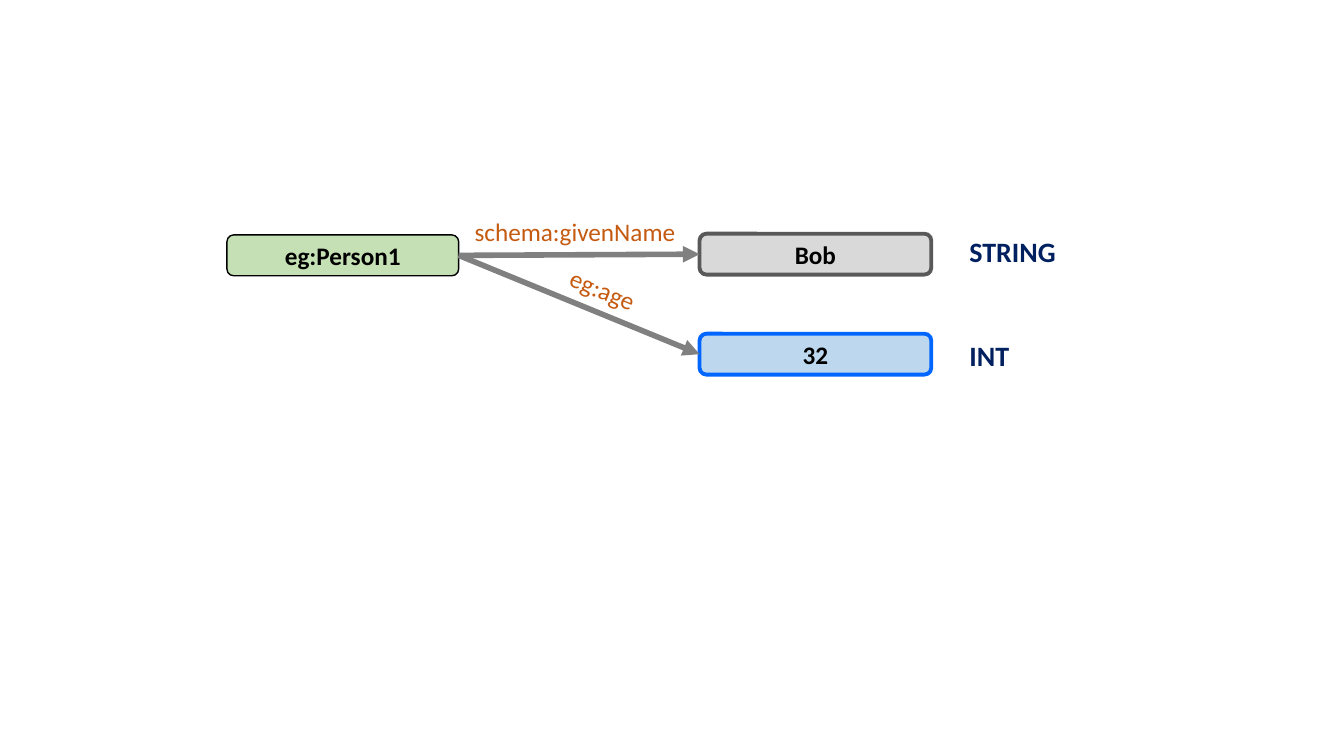
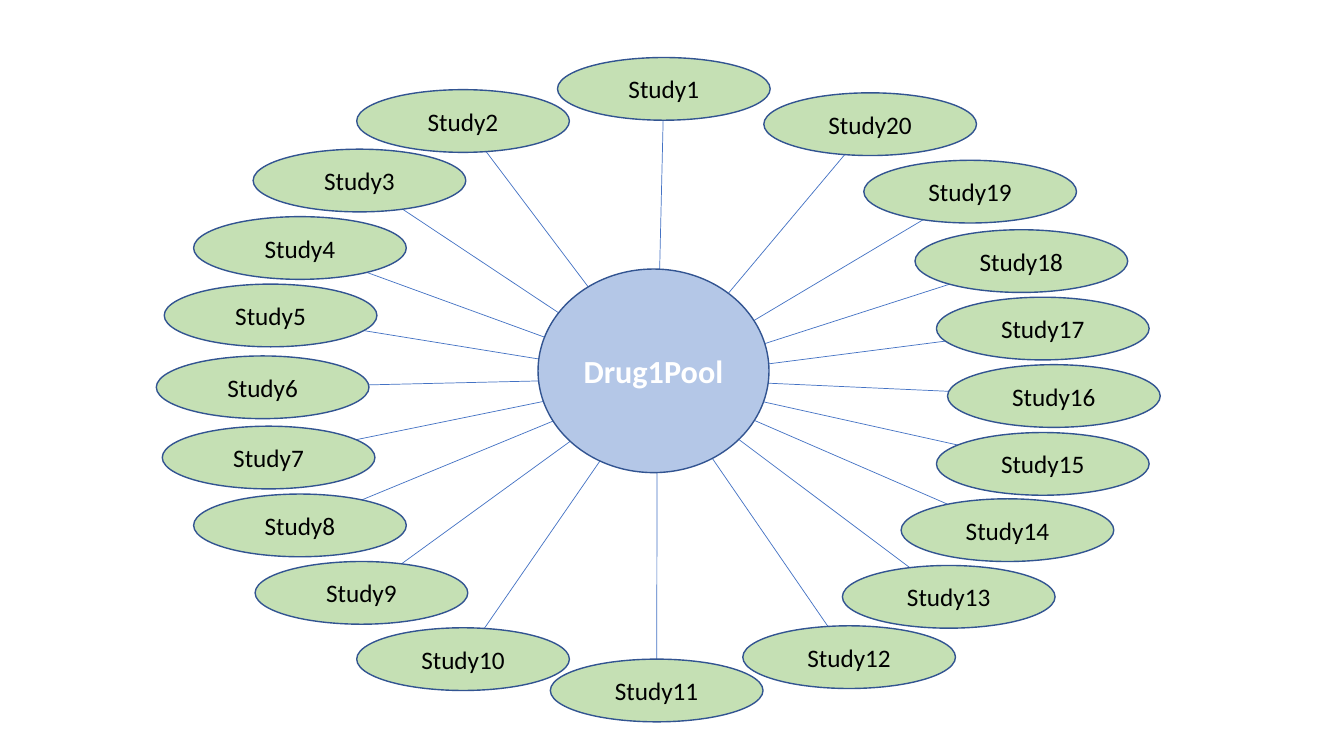
import pptx
import pptx.util
import pptx.dml.color
import pptx.enum.shapes
import pptx.enum.text
import pptx.oxml
import pptx.oxml.ns

Cm = pptx.util.Cm
Pt = pptx.util.Pt
Shapes = pptx.enum.shapes.MSO_SHAPE
Anchor = pptx.enum.text.MSO_ANCHOR
Align = pptx.enum.text.PP_ALIGN

# Shared colours
BLACK, WHITE = "000000", "FFFFFF"
GREEN, GREY, SKY, LAVENDER = "C5E0B4", "D9D9D9", "BDD7EE", "B4C7E7"
DARK_GREY, BRIGHT_BLUE, OUTLINE_BLUE = "595959", "0066FF", "325491"
ARROW_GREY, SPOKE_BLUE = "808080", "4472C4"
RUST, NAVY = "C55A11", "002060"


def colour(value):
    return pptx.dml.color.RGBColor.from_string(value)


class Diagram:
    font = "Calibri"

    def __init__(self):
        self.deck = pptx.Presentation()
        self.deck.slide_width = Cm(33.87)
        self.deck.slide_height = Cm(19.05)
        self.page = None

    def new_page(self):
        self.page = self.deck.slides.add_slide(self.deck.slide_layouts[6])

    def set_text(self, box, text, size, ink, bold, align):
        box.text_frame.text = text
        para = box.text_frame.paragraphs[0]
        para.alignment = align
        for span in para.runs:
            span.font.name = self.font
            span.font.size = Pt(size)
            span.font.bold = bold
            span.font.color.rgb = colour(ink)

    def node(self, kind, left, top, width, height, text, fill, outline,
             weight=1, size=18, ink=BLACK, bold=False):
        box = self.page.shapes.add_shape(
            kind, Cm(left), Cm(top), Cm(width), Cm(height))
        box.shadow.inherit = False
        box.fill.solid()
        box.fill.fore_color.rgb = colour(fill)
        box.line.color.rgb = colour(outline)
        box.line.width = Pt(weight)
        box.text_frame.vertical_anchor = Anchor.MIDDLE
        self.set_text(box, text, size, ink, bold, Align.CENTER)
        return box

    def label(self, left, top, width, height, text, ink,
              size=18, bold=False, wrap=True, rotation=0):
        box = self.page.shapes.add_textbox(
            Cm(left), Cm(top), Cm(width), Cm(height))
        box.text_frame.word_wrap = wrap
        box.rotation = rotation
        self.set_text(box, text, size, ink, bold, Align.LEFT)

    def line(self, start, end, ink, weight):
        link = self.page.shapes.add_connector(
            pptx.enum.shapes.MSO_CONNECTOR.STRAIGHT,
            Cm(start[0]), Cm(start[1]), Cm(end[0]), Cm(end[1]))
        link.line.color.rgb = colour(ink)
        link.line.width = Pt(weight)
        self.add_part(link._element.spPr, "a:effectLst")
        return link

    def arrow(self, source, target):
        link = self.line((0, 0), (0, 0), ARROW_GREY, 4)
        link.begin_connect(source, 3)  # right side
        link.end_connect(target, 1)  # left side
        outline = link._element.spPr.find(pptx.oxml.ns.qn("a:ln"))
        self.add_part(outline, "a:tailEnd", type="triangle")

    @staticmethod
    def add_part(parent, tag, **attributes):
        part = pptx.oxml.parse_xml(
            "<%s %s/>" % (tag, pptx.oxml.ns.nsdecls("a")))
        for name, value in attributes.items():
            part.set(name, value)
        parent.append(part)


diagram = Diagram()

# Slide 1: a person with typed values
diagram.new_page()
BOX_WIDTH, BOX_HEIGHT = 5.84, 1.03
VALUE_LEFT, TYPE_LEFT = 17.63, 24.18

person = diagram.node(Shapes.ROUNDED_RECTANGLE, 5.72, 5.92, BOX_WIDTH, BOX_HEIGHT,
                      "eg:Person1", GREEN, BLACK, bold=True)
values = [
    ("Bob", 5.89, GREY, DARK_GREY, "STRING", 5.79, 2.72),
    ("32", 8.41, SKY, BRIGHT_BLUE, "INT", 8.41, 1.52),
]
for text, top, fill, outline, type_name, type_top, type_width in values:
    value = diagram.node(Shapes.ROUNDED_RECTANGLE, VALUE_LEFT, top,
                         BOX_WIDTH, BOX_HEIGHT, text, fill, outline,
                         weight=2.75, bold=True)
    diagram.arrow(person, value)
    diagram.label(TYPE_LEFT, type_top, type_width, 1.12, type_name, NAVY,
                  size=20, bold=True, wrap=False)

diagram.label(11.71, 5.33, 7.98, 1.03, "schema:givenName", RUST)
diagram.label(13.87, 7.9, 7.98, 1.03, "eg:age", RUST, rotation=22.6)

# Slide 2: studies around a pool
diagram.new_page()
STUDY_WIDTH, STUDY_HEIGHT = 5.36, 1.58
SPOKE_END = (16.56, 9.53)
study_corners = [
    (14.05, 1.45), (8.99, 2.26), (6.38, 3.76), (4.88, 5.46), (4.14, 7.16),
    (3.94, 8.97), (4.09, 10.74), (4.88, 12.45), (6.43, 14.15), (8.99, 15.82),
    (13.87, 16.61), (18.72, 15.77), (21.23, 14.25), (22.71, 12.57), (23.6, 10.9),
    (23.88, 9.19), (23.6, 7.49), (23.06, 5.79), (21.77, 4.04), (19.25, 2.34),
]

# Spokes lie behind the ellipses
for left, top in study_corners:
    centre = (left + STUDY_WIDTH / 2, top + STUDY_HEIGHT / 2)
    diagram.line(centre, SPOKE_END, SPOKE_BLUE, 0.5)

diagram.node(Shapes.OVAL, 13.56, 6.78, 5.82, 5.13, "Drug1Pool",
             LAVENDER, OUTLINE_BLUE, size=23, ink=WHITE, bold=True)
for number, (left, top) in enumerate(study_corners, start=1):
    diagram.node(Shapes.OVAL, left, top, STUDY_WIDTH, STUDY_HEIGHT,
                 f"Study{number}", GREEN, OUTLINE_BLUE)

diagram.deck.save("out.pptx")
